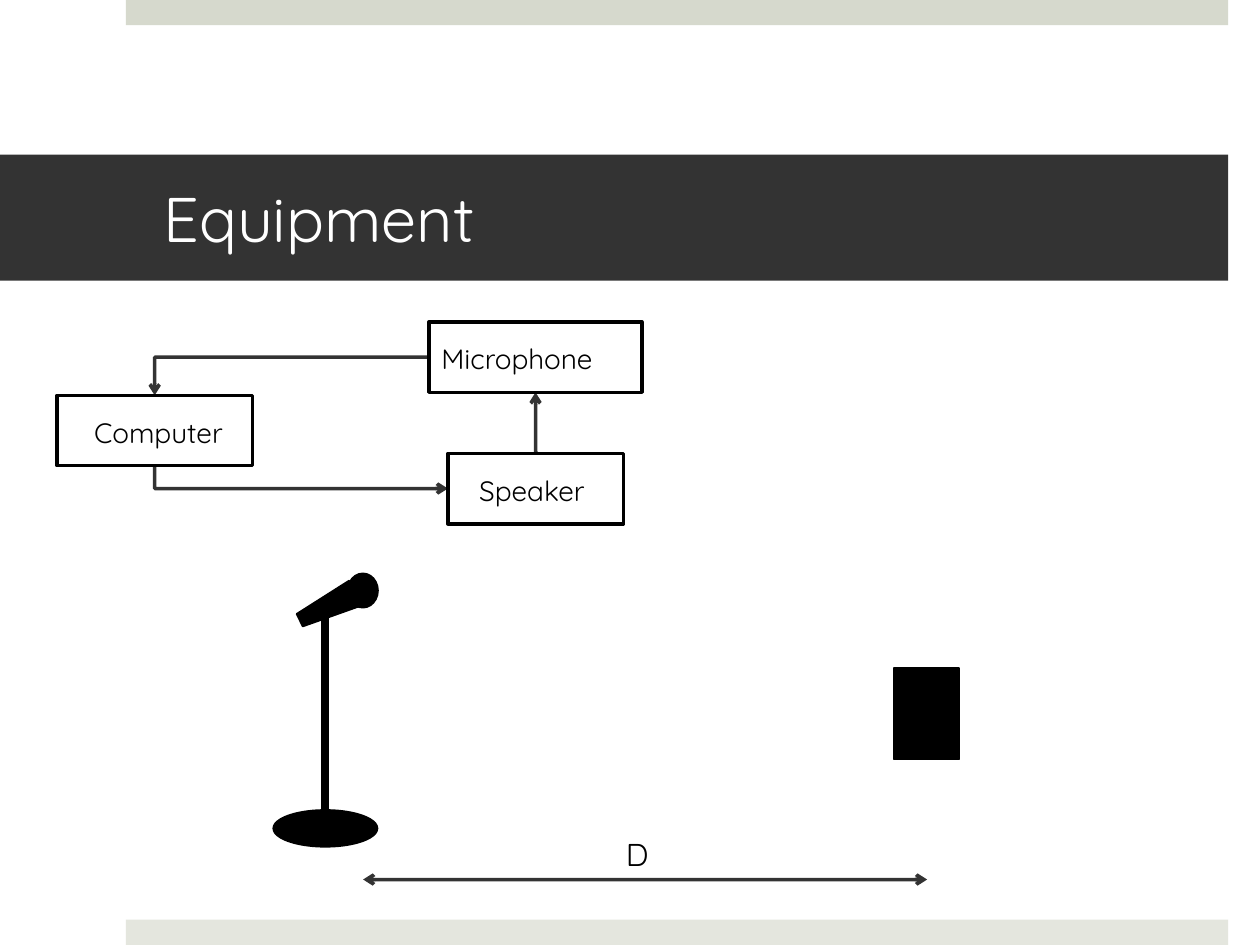
from pptx import Presentation
from pptx.util import Cm, Pt
from pptx.dml.color import RGBColor
from pptx.enum.shapes import MSO_SHAPE, MSO_CONNECTOR
from pptx.enum.text import MSO_ANCHOR
from pptx.oxml import parse_xml
from pptx.oxml.ns import qn, nsdecls

HUES = {"dark": "333333", "top": "D6D9CD", "foot": "E4E6DE",
        "white": "FFFFFF", "black": "000000"}
FONT = "Quicksand"


def hue(name):
    return RGBColor.from_string(HUES[name])


def write(frame, text, size=16, color="black", anchor=MSO_ANCHOR.TOP):
    frame.word_wrap = True
    frame.vertical_anchor = anchor
    par = frame.paragraphs[0]
    run = par.add_run()
    run.text = text
    run.font.name = FONT
    run.font.size = Pt(size)
    run.font.color.rgb = hue(color)
    return par


class Board:
    """Draws on one slide; all lengths are in centimetres."""

    def __init__(self, slide):
        self.items = slide.shapes

    def shape(self, kind, x, y, w, h, fill="black", line=None, turn=0):
        item = self.items.add_shape(kind, Cm(x), Cm(y), Cm(w), Cm(h))
        item.shadow.inherit = False
        item.rotation = turn
        item.fill.solid()
        item.fill.fore_color.rgb = hue(fill)
        if line:
            item.line.color.rgb = hue("black")
            item.line.width = Pt(line)
        else:
            item.line.fill.background()
        return item

    def rect(self, *place, **style):
        return self.shape(MSO_SHAPE.RECTANGLE, *place, **style)

    def label(self, text, x, y, w, h, **style):
        box = self.items.add_textbox(Cm(x), Cm(y), Cm(w), Cm(h))
        write(box.text_frame, text, **style)

    def title(self, text, *place):
        bar = self.rect(*place, fill="dark")
        frame = bar.text_frame
        frame.margin_left, frame.margin_right = Cm(3.3), Cm(0.76)
        par = write(frame, text, size=36, color="white",
                    anchor=MSO_ANCHOR.MIDDLE)
        par.alignment = 1

    def node(self, text, x, y, w, shift, wide):
        box = self.rect(x, y, w, 1.42, fill="white", line=2)
        self.label(text, x + shift, y + 0.28, wide, 0.94)
        return box

    def arrow(self, ends=(0, 0, 0, 0), heads=("tail",), kind=MSO_CONNECTOR.STRAIGHT):
        link = self.items.add_connector(kind, *[Cm(v) for v in ends])
        link.line.color.rgb = hue("black")
        link.line.width = Pt(2)
        props = link._element.spPr
        color = props.find(".//" + qn("a:srgbClr"))
        color.append(parse_xml(f'<a:alpha {nsdecls("a")} val="80000"/>'))
        for end in heads:
            props.find(qn("a:ln")).append(parse_xml(
                f'<a:{end}End {nsdecls("a")} type="arrow"/>'))
        props.append(parse_xml(f'<a:effectLst {nsdecls("a")}/>'))
        return link

    def join(self, start, site, goal, port, bent=False, **style):
        kind = MSO_CONNECTOR.ELBOW if bent else MSO_CONNECTOR.STRAIGHT
        link = self.arrow(kind=kind, **style)
        link.begin_connect(start, site)
        link.end_connect(goal, port)
        if bent:  # a single corner
            link._element.spPr.find(qn("a:prstGeom")).set("prst", "bentConnector2")


def main():
    deck = Presentation()
    deck.slide_width, deck.slide_height = Cm(25.4), Cm(19.05)
    board = Board(deck.slides.add_slide(deck.slide_layouts[6]))

    # Bands and title
    board.rect(2.54, 0, 22.22, 0.51, fill="top")
    board.rect(2.54, 18.54, 22.22, 0.51, fill="foot")
    board.title("Equipment", 0, 3.12, 24.76, 2.54)

    # Signal loop
    comp = board.node("Computer", 1.15, 7.97, 3.94, 0.5, 4.22)
    horn = board.node("Speaker", 9.03, 9.14, 3.54, 0.38, 3.15)
    mic = board.node("Microphone", 8.65, 6.49, 4.29, 0, 4.29)
    board.join(horn, 1, comp, 2, bent=True, heads=("head",))
    board.join(mic, 1, comp, 0, bent=True)
    board.join(horn, 0, mic, 2)

    # Microphone on its stand
    board.rect(6.48, 12.24, 0.13, 4.47, line=1)
    board.shape(MSO_SHAPE.TRAPEZOID, 6.32, 11.61, 0.56, 1.24, line=1, turn=244)
    board.shape(MSO_SHAPE.OVAL, 7.01, 11.56, 0.61, 0.69, line=1)
    board.shape(MSO_SHAPE.OVAL, 5.51, 16.33, 2.1, 0.74, line=1)

    # Speaker and distance
    board.rect(18.03, 13.46, 1.3, 1.85, line=1)
    board.arrow((7.32, 17.73, 18.69, 17.73), heads=("head", "tail"))
    board.label("D", 12.37, 16.71, 1.12, 1.02, size=18)

    deck.save("out.pptx")


if __name__ == "__main__":
    main()
